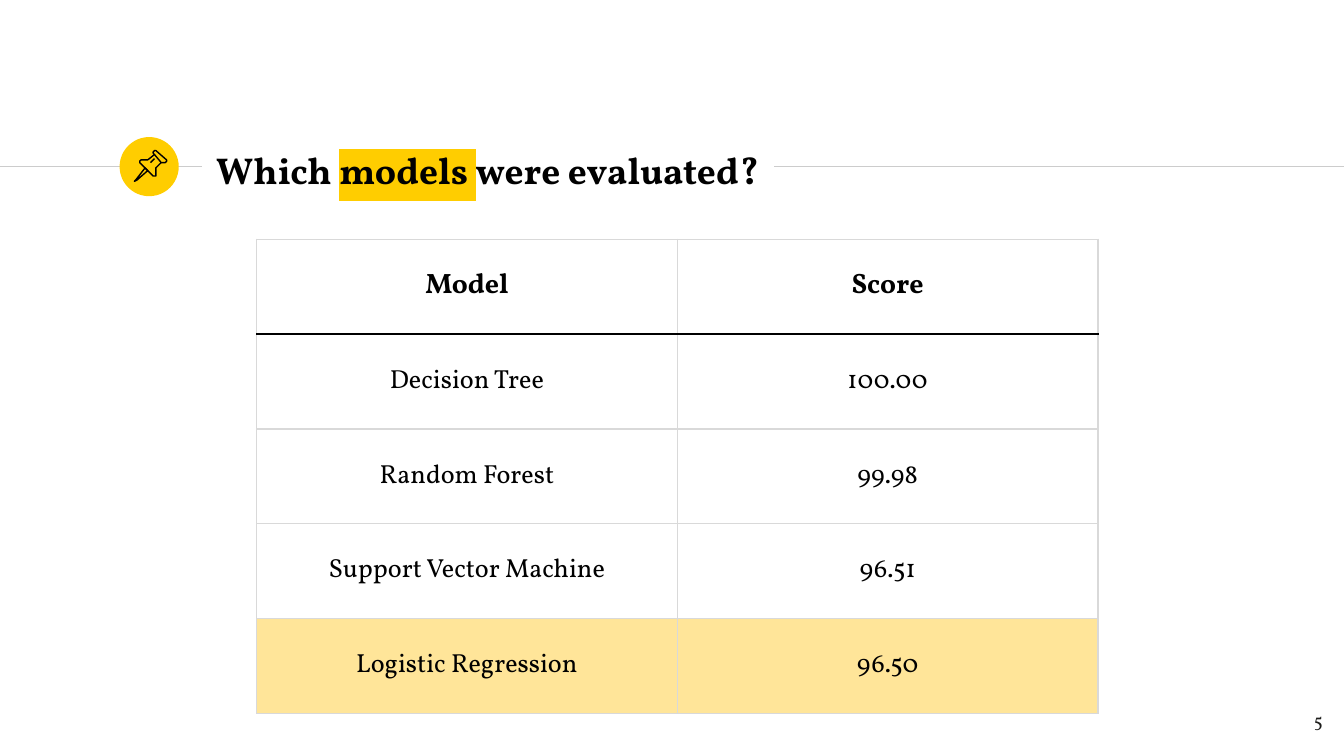
from dataclasses import dataclass
from lxml import etree
from pptx import Presentation
from pptx.dml.color import RGBColor
from pptx.enum.shapes import MSO_CONNECTOR, MSO_SHAPE
from pptx.enum.text import MSO_ANCHOR, PP_ALIGN
from pptx.oxml.ns import qn
from pptx.util import Inches, Pt

LINE = MSO_CONNECTOR.STRAIGHT
OVAL = MSO_SHAPE.OVAL
MID, TOP = MSO_ANCHOR.MIDDLE, MSO_ANCHOR.TOP
LEFT, MID_X, RIGHT = PP_ALIGN.LEFT, PP_ALIGN.CENTER, PP_ALIGN.RIGHT
BLACK = RGBColor(0, 0, 0)
INK = RGBColor(0x1D, 0x1D, 0x1B)
RULE = RGBColor(0xCC, 0xCC, 0xCC)
GRID = RGBColor(0xD9, 0xD9, 0xD9)
GOLD = RGBColor(0xFF, 0xCD, 0x00)
PALE = RGBColor(0xFF, 0xE5, 0x99)
FACE = "Vollkorn"
WIDE = 10
HIGH = WIDE * 9 / 16
RULE_Y = 1.24
THIN = Pt(0.75)


@dataclass
class Label:
    box: tuple
    runs: list
    size: int
    color: RGBColor
    bold: bool
    align: int
    anchor: int


@dataclass
class Stroke:
    points: list
    closed: bool


LABELS = [
    Label((1.51, 1.02, 5.37, 0.48),
          [("Which ", False), ("models ", True), ("were evaluated?", False)],
          20, BLACK, True, LEFT, MID),
    Label((9.34, 5.19, 0.6, 0.43), [("5", False)], 10, INK, False, RIGHT, TOP),
]
ROWS = [
    ("Model", "Score"),
    ("Decision Tree", "100.00"),
    ("Random Forest", "99.98"),
    ("Support Vector Machine", "96.51"),
    ("Logistic Regression", "96.50"),
]
PIN = [
    Stroke([(108, 125), (101, 134), (100, 135), (102, 134), (110, 127)], True),
    Stroke([(115, 115), (120, 121), (121, 121.4), (122, 121), (123, 120.6),
            (124, 120), (124.2, 119.4), (124, 119), (116, 112), (115.5, 111.7),
            (115, 112), (114.3, 113), (114.2, 114)], True),
    Stroke([(115, 115), (110, 119), (109, 119.3), (107, 118.8), (105, 119.2),
            (104, 120), (104, 121), (114, 131), (115, 131.2), (115.6, 131),
            (116, 130), (116.3, 128), (116, 126), (116.3, 125), (120, 121)],
           False),
    Stroke([(112, 121), (115, 118)], False),
]


def style(par, size: int, color: RGBColor, bold: bool, align: int) -> None:
    par.alignment = align
    font = par.font
    font.name, font.size, font.bold = FACE, Pt(size), bold
    font.color.rgb = color


def mark(run) -> None:
    props = run._r.get_or_add_rPr()
    light = etree.SubElement(props, qn("a:highlight"))
    etree.SubElement(light, qn("a:srgbClr"), val=str(GOLD))


def write(slide, label: Label) -> None:
    shape = slide.shapes.add_textbox(*map(Inches, label.box))
    frame = shape.text_frame
    frame.word_wrap = True
    frame.vertical_anchor = label.anchor
    frame.margin_top = frame.margin_bottom = Inches(0.1)
    par = frame.paragraphs[0]
    style(par, label.size, label.color, label.bold, label.align)
    for text, lit in label.runs:
        run = par.add_run()
        run.text = text
        if lit:
            mark(run)


def rule(slide, start: float, end: float) -> None:
    y = Inches(RULE_Y)
    line = slide.shapes.add_connector(LINE, Inches(start), y, Inches(end), y)
    line.line.color.rgb = RULE
    line.line.width = THIN
    etree.SubElement(line._element.spPr, qn("a:effectLst"))


def draw(slide, stroke: Stroke) -> None:
    first, *rest = stroke.points
    path = slide.shapes.build_freeform(*first, scale=Inches(0.01))
    path.add_line_segments(rest, close=stroke.closed)
    shape = path.convert_to_shape()
    shape.shadow.inherit = False
    shape.fill.background()
    shape.line.color.rgb = BLACK
    shape.line.width = THIN


def edge(cell, side: str, color: RGBColor) -> None:
    props = cell._tc.get_or_add_tcPr()
    line = etree.SubElement(props, qn(f"a:ln{side}"), w=str(THIN))
    fill = etree.SubElement(line, qn("a:solidFill"))
    etree.SubElement(fill, qn("a:srgbClr"), val=str(color))


def fill_cell(cell, text: str, row: int) -> None:
    head = row == 0
    cell.text = text
    cell.vertical_anchor = MID
    cell.margin_top = cell.margin_bottom = Inches(0.07)
    cell.margin_left = cell.margin_right = Inches(0.1)
    style(cell.text_frame.paragraphs[0], 15 if head else 14, BLACK, head, MID_X)
    sides = {"L": GRID, "R": GRID, "T": BLACK if row == 1 else GRID,
             "B": BLACK if head else GRID}
    for side, color in sides.items():
        edge(cell, side, color)
    if row == len(ROWS) - 1:
        cell.fill.solid()
        cell.fill.fore_color.rgb = PALE
    else:
        cell.fill.background()


def add_scores(slide) -> None:
    box = map(Inches, (1.91, 1.78, 6.26, 3.53))
    table = slide.shapes.add_table(len(ROWS), len(ROWS[0]), *box).table
    table.first_row = table.horz_banding = False
    for row, texts in enumerate(ROWS):
        for col, text in enumerate(texts):
            fill_cell(table.cell(row, col), text, row)


def main() -> None:
    deck = Presentation()
    deck.slide_width, deck.slide_height = Inches(WIDE), Inches(HIGH)
    slide = deck.slides.add_slide(deck.slide_layouts[6])
    rule(slide, 0, 1.5)
    disc = slide.shapes.add_shape(OVAL, *map(Inches, (0.89, 1.02, 0.44, 0.44)))
    disc.shadow.inherit = False
    disc.fill.solid()
    disc.fill.fore_color.rgb = GOLD
    disc.line.fill.background()
    rule(slide, 5.76, WIDE)
    add_scores(slide)
    for stroke in PIN:
        draw(slide, stroke)
    for label in LABELS:
        write(slide, label)
    deck.save("out.pptx")


main()
